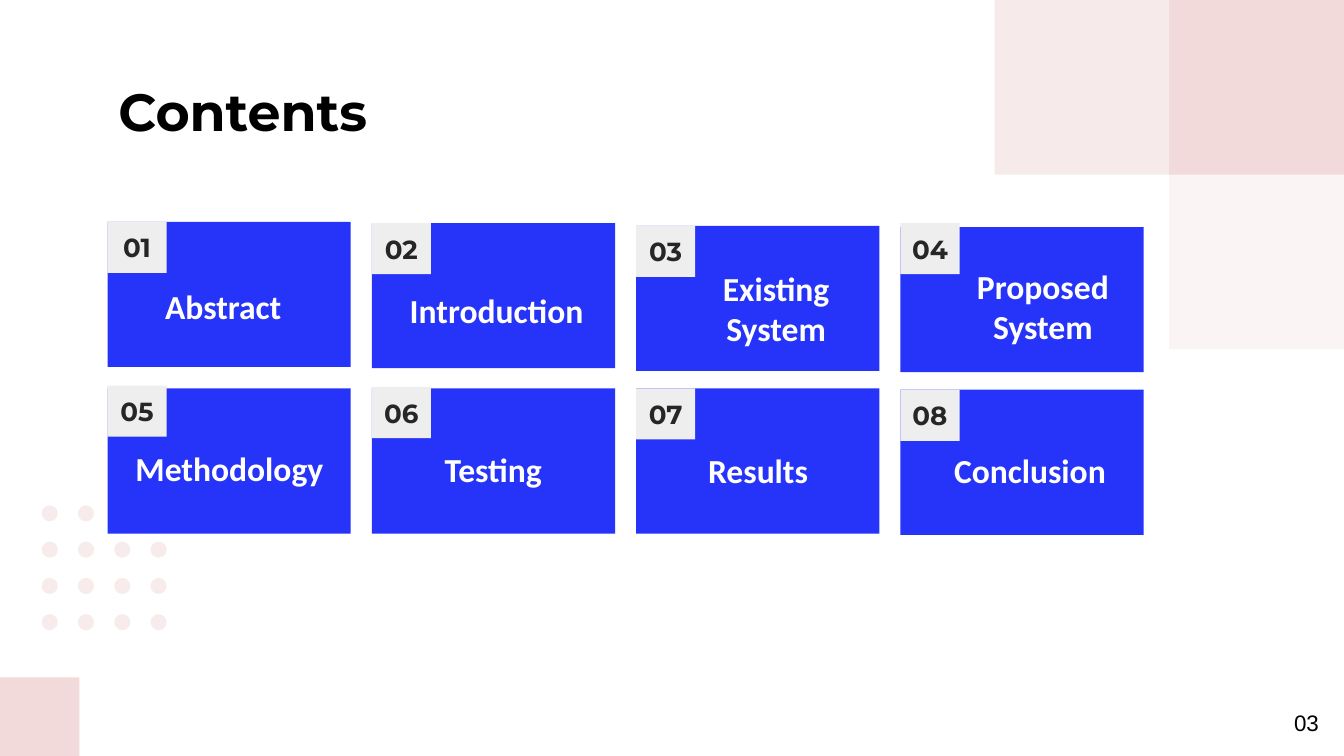
"""Build a contents slide with eight numbered section cards."""
import pptx
import pptx.dml.color
import pptx.enum.shapes
import pptx.enum.text
import pptx.oxml.ns
import pptx.util
from lxml import etree

Inches = pptx.util.Inches
Pt = pptx.util.Pt
MSO = pptx.enum.shapes.MSO_SHAPE
ALIGN = pptx.enum.text.PP_ALIGN
ANCHOR = pptx.enum.text.MSO_ANCHOR

COLORS = {
    "dot": "F7EBEB", "pink": "F2DADA", "card": "2634F9", "tag": "EEEEEE",
    "tag_text": "262626", "label": "FFFFFF", "black": "000000",
}

prs = pptx.Presentation()
prs.slide_width = Inches(10)
prs.slide_height = prs.slide_width * 9 // 16
s = prs.slides.add_slide(prs.slide_layouts[5])


def add_block(kind, x, y, w, h, color, alpha=100):
    sp = s.shapes.add_shape(kind, Inches(x), Inches(y), Inches(w), Inches(h))
    sp.shadow.inherit = False
    sp.fill.solid()
    sp.fill.fore_color.rgb = pptx.dml.color.RGBColor.from_string(COLORS[color])
    sp.line.fill.background()
    if alpha < 100:
        clr = sp.element.spPr.find(".//" + pptx.oxml.ns.qn("a:srgbClr"))
        etree.SubElement(clr, pptx.oxml.ns.qn("a:alpha"), val=str(alpha * 1000))
    return sp


def set_text(sp, text, font, size, color, bold=True, align=ALIGN.LEFT,
             anchor=ANCHOR.TOP, inset=(0.1, 0.1), wrap=True):
    tf = sp.text_frame
    tf.auto_size = pptx.enum.text.MSO_AUTO_SIZE.NONE
    tf.word_wrap = wrap
    tf.vertical_anchor = anchor
    tf.margin_left = tf.margin_right = Inches(inset[0])
    tf.margin_top = tf.margin_bottom = Inches(inset[1])
    p = tf.paragraphs[0]
    p.text = text
    p.alignment = align
    p.font.name, p.font.size, p.font.bold = font, Pt(size), bold
    p.font.color.rgb = pptx.dml.color.RGBColor.from_string(COLORS[color])


for row in range(4):
    for col in range(2 if row == 0 else 4):
        add_block(MSO.OVAL, 0.31 + 0.27 * col, 3.76 + 0.27 * row, 0.12, 0.12, "dot")

for x, y, size, alpha in [(0, 5.04, 0.59, 100), (8.7, 0, 1.3, 100),
                          (8.7, 1.3, 1.3, 28), (7.4, 0, 1.3, 55)]:
    add_block(MSO.RECTANGLE, x, y, size, size, "pink", alpha)

title = s.shapes.title
title.left, title.top = Inches(0.78), Inches(0.49)
title.width, title.height = Inches(8.44), Inches(0.63)
set_text(title, "Contents", "Montserrat", 28, "black")

sections = [
    ("Abstract", 1.65, 1.65, (1.13, 2.03, 1.09, 0.38), ALIGN.LEFT),
    ("Introduction", 1.66, 1.66, (2.95, 2.06, 1.55, 0.38), ALIGN.LEFT),
    ("Existing System", 1.68, 1.68, (5.23, 1.89, 1.09, 0.57), ALIGN.CENTER),
    ("Proposed System", 1.69, 1.66, (7.14, 1.88, 1.24, 0.6), ALIGN.CENTER),
    ("Methodology", 2.89, 2.87, (0.91, 3.23, 1.66, 0.38), ALIGN.LEFT),
    ("Testing", 2.89, 2.88, (2.83, 3.24, 1.68, 0.38), ALIGN.CENTER),
    ("Results", 2.89, 2.89, (5.17, 3.25, 1.09, 0.38), ALIGN.LEFT),
    ("Conclusion", 2.9, 2.9, (7, 3.25, 1.35, 0.38), ALIGN.LEFT),
]
for i, (label, card_top, tag_top, box, align) in enumerate(sections):
    x = 0.8 + i % 4 * 5.9 / 3
    add_block(MSO.RECTANGLE, x, card_top, 1.81, 1.08, "card")
    tag = add_block(MSO.RECTANGLE, x, tag_top, 0.44, 0.38, "tag")
    set_text(tag, f"{i + 1:02d}", "Montserrat", 14, "tag_text",
             align=ALIGN.CENTER, anchor=ANCHOR.MIDDLE, inset=(0, 0.1))
    sp = s.shapes.add_textbox(*[Inches(v) for v in box])
    set_text(sp, label, "Calibri", 18, "label", align=align)

number = s.shapes.add_textbox(Inches(9.53), Inches(5.23), Inches(0.39), Inches(0.3))
set_text(number, "03", "Arial", 12, "black", bold=False, inset=(0.1, 0.05), wrap=False)

prs.save("out.pptx")
